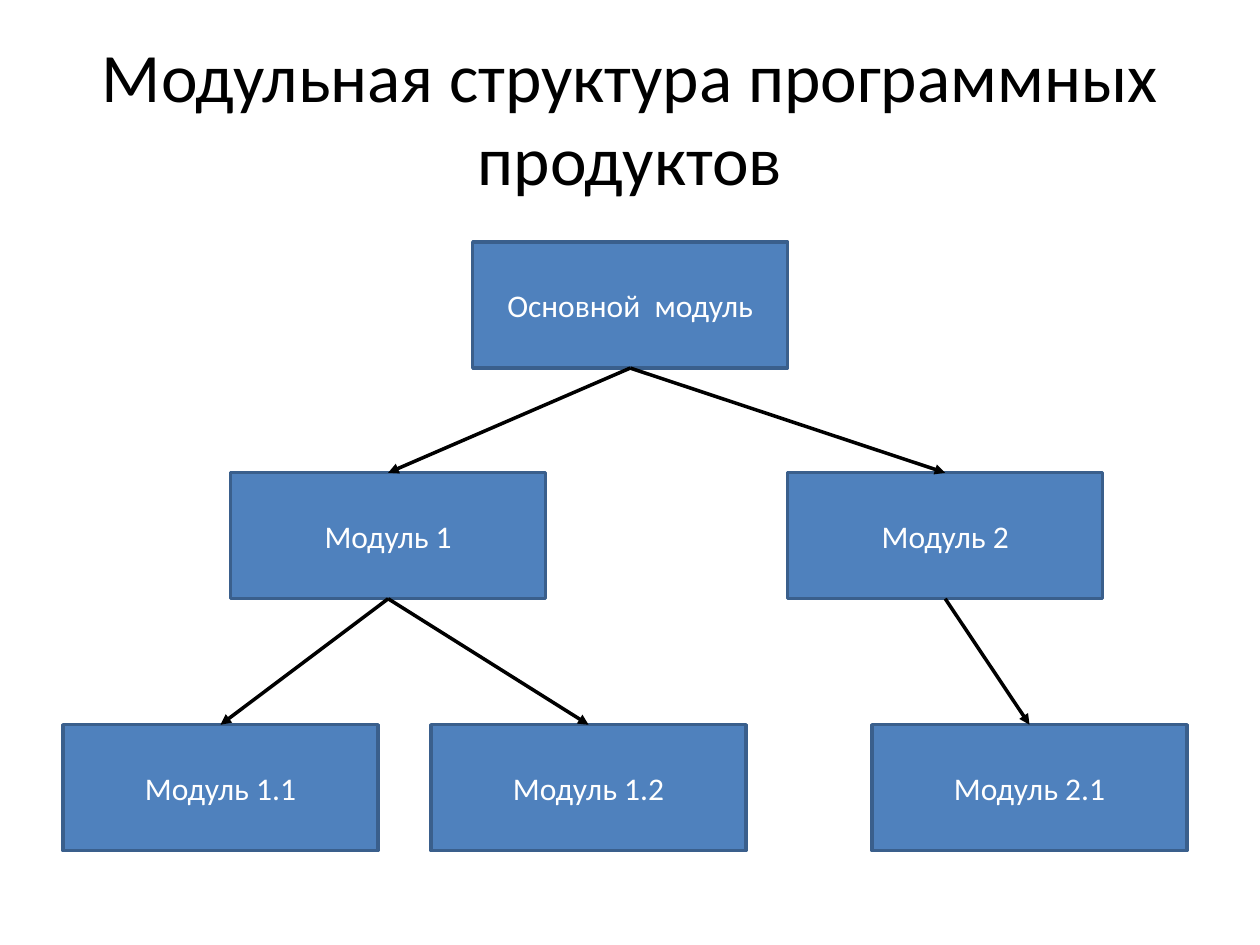
"""Build a slide with the module tree of a software product."""
from dataclasses import dataclass

from lxml import etree
from pptx import Presentation
from pptx import util as u
from pptx.dml.color import RGBColor
from pptx.enum import shapes, text
from pptx.oxml import ns


@dataclass(frozen=True)
class Theme:
    font: str = "Calibri"
    title_size: float = 39.6
    box_size: float = 18
    line_width: float = 2
    ink: str = "000000"
    fill: str = "4F81BD"
    border: str = "3A5F8C"
    box_text: str = "FFFFFF"


BOX_WIDTH, BOX_HEIGHT = 6.35, 2.54
ROOT = "Основной  модуль"
LEVELS = {
    4.88: {ROOT: 9.53},
    9.53: {"Модуль 1": 4.65, "Модуль 2": 15.88},
    14.61: {"Модуль 1.1": 1.27, "Модуль 1.2": 8.69, "Модуль 2.1": 17.58},
}
CALLS = {
    ROOT: ["Модуль 1", "Модуль 2"],
    "Модуль 1": ["Модуль 1.1", "Модуль 1.2"],
    "Модуль 2": ["Модуль 2.1"],
}


class ModuleSlide:
    def __init__(self, deck, theme):
        self.theme = theme
        self.page = deck.slides.add_slide(deck.slide_layouts[5])

    def label(self, shape, wording, size, color):
        frame = shape.text_frame
        layout = {
            "word_wrap": True,
            "auto_size": text.MSO_AUTO_SIZE.NONE,
            "vertical_anchor": text.MSO_ANCHOR.MIDDLE,
        }
        for name, value in layout.items():
            setattr(frame, name, value)
        para = frame.paragraphs[0]
        para.alignment = text.PP_ALIGN.CENTER
        span = para.add_run()
        span.text = wording
        for name, value in {"name": self.theme.font, "size": u.Pt(size)}.items():
            setattr(span.font, name, value)
        span.font.color.rgb = RGBColor.from_string(color)

    def outline(self, shape, color):
        shape.line.color.rgb = RGBColor.from_string(color)
        shape.line.width = u.Pt(self.theme.line_width)

    def title(self, wording):
        heading = self.page.shapes.title
        place = {"left": 1.27, "top": 0.76, "width": 22.86, "height": 3.18}
        for name, value in place.items():
            setattr(heading, name, u.Cm(value))
        self.label(heading, wording, self.theme.title_size, self.theme.ink)

    def module(self, wording, left, top):
        place = map(u.Cm, (left, top, BOX_WIDTH, BOX_HEIGHT))
        box = self.page.shapes.add_shape(shapes.MSO_SHAPE.RECTANGLE, *place)
        box.shadow.inherit = False
        box.fill.solid()
        box.fill.fore_color.rgb = RGBColor.from_string(self.theme.fill)
        self.outline(box, self.theme.border)
        self.label(box, wording, self.theme.box_size, self.theme.box_text)
        return box

    def arrow(self, parent, child):
        link = self.page.shapes.add_connector(shapes.MSO_CONNECTOR.STRAIGHT, 0, 0, 0, 0)
        link.begin_connect(parent, 2)
        link.end_connect(child, 0)
        self.outline(link, self.theme.ink)
        properties = link.element.spPr
        line = properties.find(ns.qn("a:ln"))
        etree.SubElement(line, ns.qn("a:tailEnd"), type="triangle")
        etree.SubElement(properties, ns.qn("a:effectLst"))


def main():
    deck = Presentation()
    deck.slide_width, deck.slide_height = u.Cm(25.4), u.Cm(19.05)
    slide = ModuleSlide(deck, Theme())
    slide.title("Модульная структура программных продуктов")
    boxes = {
        wording: slide.module(wording, left, top)
        for top, level in LEVELS.items()
        for wording, left in level.items()
    }
    for parent, children in CALLS.items():
        for child in children:
            slide.arrow(boxes[parent], boxes[child])
    deck.save("out.pptx")


if __name__ == "__main__":
    main()
